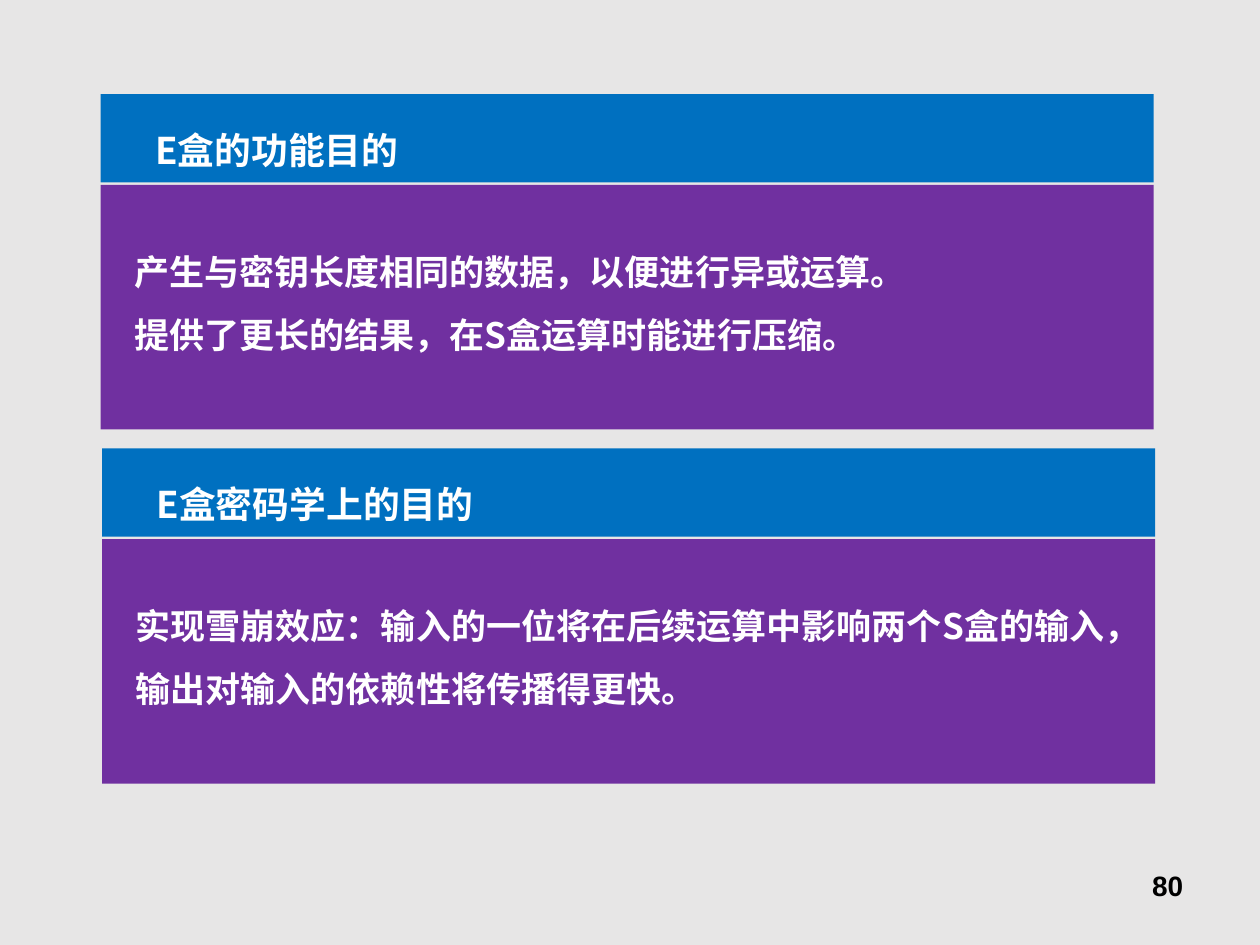
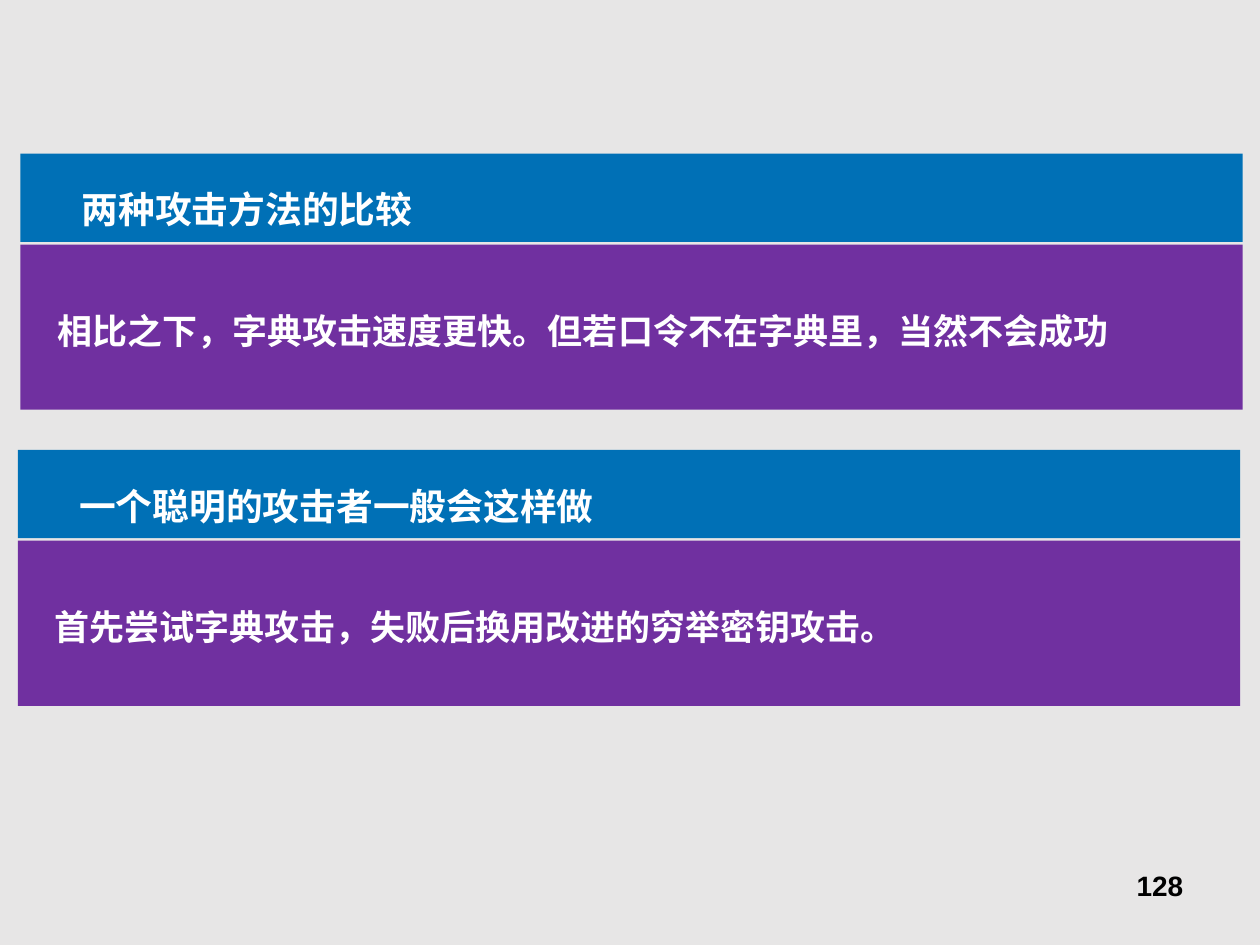
import pptx
import pptx.util
import pptx.dml.color
import pptx.enum.shapes
import pptx.enum.text
import pptx.oxml.ns
from lxml import etree

Cm = pptx.util.Cm
ALIGN = pptx.enum.text.PP_ALIGN

# Shared look
BACKGROUND, PURPLE, WHITE, BLACK = "E7E6E6", "7030A0", "FFFFFF", "000000"
CJK_FONT = "Noto Sans CJK SC"
HEADER_H, BODY_TOP = 1.78, 1.83


def rgb(hex_color):
    return pptx.dml.color.RGBColor.from_string(hex_color)


def add_text(shapes, x, y, w, h, lines, size=20, color=WHITE, font=CJK_FONT,
             spacing=1.5, align=ALIGN.LEFT, inset=(0.25, 0.13)):
    tf = shapes.add_textbox(Cm(x), Cm(y), Cm(w), Cm(h)).text_frame
    tf.word_wrap = True
    tf.margin_left = tf.margin_right = Cm(inset[0])
    tf.margin_top = tf.margin_bottom = Cm(inset[1])
    for i, line in enumerate(lines):
        p = tf.add_paragraph() if i else tf.paragraphs[0]
        p.alignment = align
        p.line_spacing = spacing
        r = p.add_run()
        r.text = line
        r.font.size = pptx.util.Pt(size)
        r.font.bold = True
        r.font.color.rgb = rgb(color)
        r.font.name = font
        # East Asian characters take their own typeface element
        ea = etree.SubElement(r.font._element, pptx.oxml.ns.qn("a:ea"))
        ea.set("typeface", font)


def add_band(shapes, x, y, w, h, color):
    sp = shapes.add_shape(pptx.enum.shapes.MSO_SHAPE.RECTANGLE,
                          Cm(x), Cm(y), Cm(w), Cm(h))
    sp.shadow.inherit = False
    sp.fill.solid()
    sp.fill.fore_color.rgb = rgb(color)
    sp.line.fill.background()


def add_card(s, x, y, w, body_h, header_color, heading, lines):
    """Purple body under a blue header, grouped; text insets scale with width."""
    shapes = s.shapes.add_group_shape().shapes
    add_band(shapes, x, y + BODY_TOP, w, body_h, PURPLE)
    add_text(shapes, x + 0.02 * w, y + BODY_TOP + 0.76, 0.95 * w,
             body_h - 1.9, lines)
    add_band(shapes, x, y, w, HEADER_H, header_color)
    add_text(shapes, x + 0.04 * w, y + 0.1, 0.92 * w, 1.6, [heading], size=21)


def add_slide(prs, number, w, body_h, header_color, cards):
    s = prs.slides.add_slide(prs.slide_layouts[6])
    s.background.fill.solid()
    s.background.fill.fore_color.rgb = rgb(BACKGROUND)
    for x, y, heading, lines in cards:
        add_card(s, x, y, w, body_h, header_color, heading, lines)
    # Page number
    add_text(s.shapes, 18.21, 17.35, 5.92, 1.32, [number], size=16, color=BLACK,
             font="Arial", spacing=1.0, align=ALIGN.RIGHT, inset=(0.28, 0.15))


def main():
    prs = pptx.Presentation()
    prs.slide_width, prs.slide_height = Cm(25.4), Cm(19.05)

    # Purposes of the E box
    add_slide(prs, "80", 21.23, 4.93, "0070C0", [
        (2.03, 1.9, "E盒的功能目的",
         ["产生与密钥长度相同的数据，以便进行异或运算。",
          "提供了更长的结果，在S盒运算时能进行压缩。"]),
        (2.06, 9.04, "E盒密码学上的目的",
         ["实现雪崩效应：输入的一位将在后续运算中影响两个S盒的输入，"
          "输出对输入的依赖性将传播得更快。"]),
    ])

    # Comparison of attacks
    add_slide(prs, "128", 24.64, 3.33, "0070B6", [
        (0.41, 3.1, "两种攻击方法的比较",
         ["相比之下，字典攻击速度更快。但若口令不在字典里，当然不会成功"]),
        (0.36, 9.07, "一个聪明的攻击者一般会这样做",
         ["首先尝试字典攻击，失败后换用改进的穷举密钥攻击。"]),
    ])

    prs.save("out.pptx")


if __name__ == "__main__":
    main()
